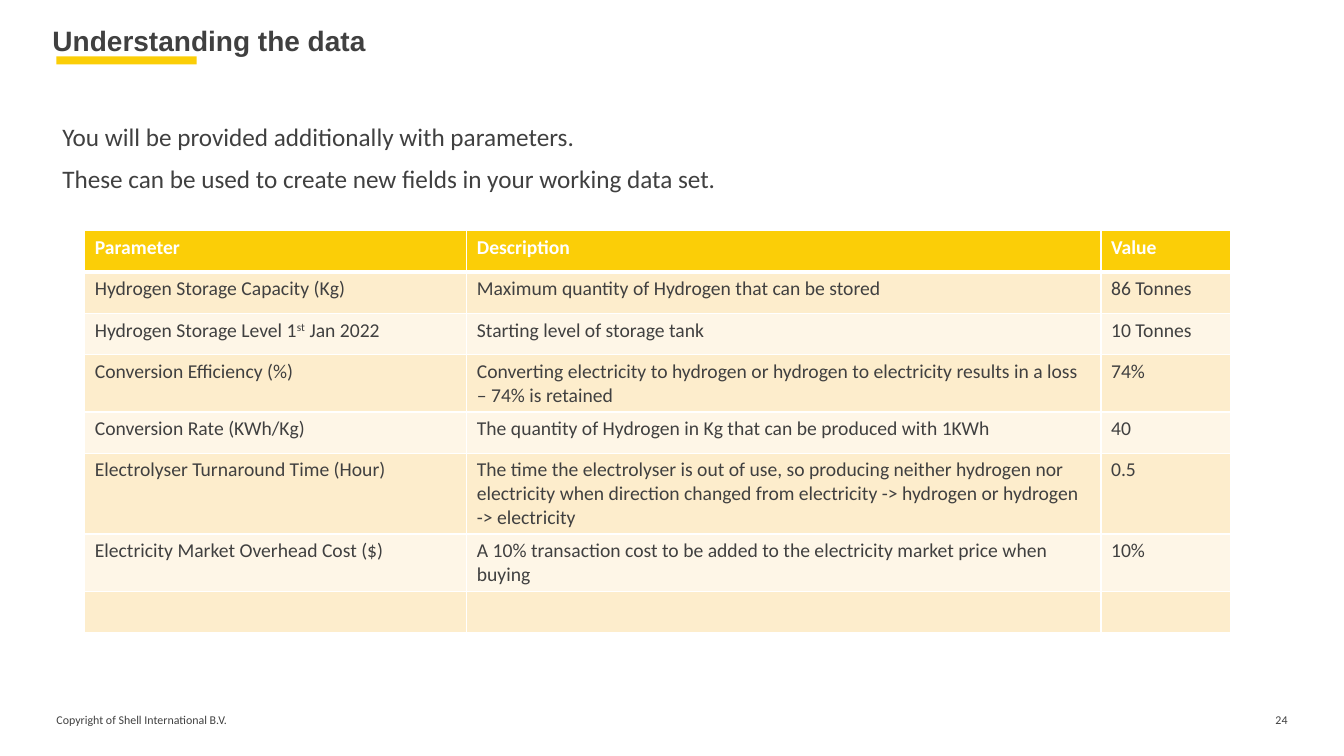
import dataclasses

import lxml.etree
import pptx
import pptx.dml.color
import pptx.enum.shapes
import pptx.enum.text
import pptx.oxml.ns
import pptx.util

Inches = pptx.util.Inches
Align = pptx.enum.text.PP_ALIGN
Anchor = pptx.enum.text.MSO_ANCHOR


@dataclasses.dataclass(frozen=True)
class Theme:
    gold: str = "FBCE07"
    sand: str = "FDEDCC"
    cream: str = "FEF6E7"
    grey: str = "404040"
    white: str = "FFFFFF"
    head: str = "Arial"
    body: str = "Calibri"
    title: float = 20
    lead: float = 18
    cell: float = 14
    foot: float = 8.5


THEME = Theme()
WIDTHS = (3.79, 6.29, 1.29)
HEIGHT = 0.41
ROWS = (
    ("Parameter", "Description", "Value"),
    ("Hydrogen Storage Capacity (Kg)",
     "Maximum quantity of Hydrogen that can be stored", "86 Tonnes"),
    ("Hydrogen Storage Level 1^st^ Jan 2022",
     "Starting level of storage tank", "10 Tonnes"),
    ("Conversion Efficiency (%)",
     "Converting electricity to hydrogen or hydrogen to electricity "
     "results in a loss – 74% is retained", "74%"),
    ("Conversion Rate (KWh/Kg)",
     "The quantity of Hydrogen in Kg that can be produced with 1KWh", "40"),
    ("Electrolyser Turnaround Time (Hour)",
     "The time the electrolyser is out of use, so producing neither hydrogen "
     "nor electricity when direction changed from electricity -> hydrogen or "
     "hydrogen -> electricity", "0.5"),
    ("Electricity Market Overhead Cost ($)",
     "A 10% transaction cost to be added to the electricity market price "
     "when buying", "10%"),
    ("", "", ""),
)


def tint(code):
    return pptx.dml.color.RGBColor.from_string(code)


def write(frame, text, size, font=THEME.body, color=THEME.grey, bold=False,
          align=Align.LEFT, space=None):
    for spot, line in enumerate(text.split("\n")):
        para = frame.add_paragraph() if spot else frame.paragraphs[0]
        para.alignment = align
        para.line_spacing = space
        for part, words in enumerate(line.split("^")):
            run = para.add_run()
            run.text = words
            run.font.size = pptx.util.Pt(size)
            run.font.name = font
            run.font.bold = bold
            run.font.color.rgb = tint(color)
            if part % 2:
                run.font._element.set("baseline", "30000")


def add_text(slide, area, text, size, inset=None, anchor=Anchor.TOP, **style):
    frame = slide.shapes.add_textbox(*map(Inches, area)).text_frame
    frame.word_wrap = True
    frame.vertical_anchor = anchor
    if inset:
        (frame.margin_left, frame.margin_top,
         frame.margin_right, frame.margin_bottom) = map(Inches, inset)
    write(frame, text, size, **style)


def add_bar(slide, area):
    bar = slide.shapes.add_shape(
        pptx.enum.shapes.MSO_SHAPE.RECTANGLE, *map(Inches, area))
    bar.shadow.inherit = False
    bar.fill.solid()
    bar.fill.fore_color.rgb = tint(THEME.gold)
    bar.line.fill.background()


def add_edge(cell, side, width):
    name = pptx.oxml.ns.qn
    edge = lxml.etree.SubElement(
        cell._tc.get_or_add_tcPr(), name("a:ln" + side),
        w=str(pptx.util.Pt(width)))
    fill = lxml.etree.SubElement(edge, name("a:solidFill"))
    lxml.etree.SubElement(fill, name("a:srgbClr"), val=THEME.white)


def add_grid(slide, left, top):
    table = slide.shapes.add_table(
        len(ROWS), len(WIDTHS), Inches(left), Inches(top),
        Inches(sum(WIDTHS)), Inches(HEIGHT * len(ROWS))).table
    for column, width in zip(table.columns, WIDTHS):
        column.width = Inches(width)
    for row, texts in enumerate(ROWS):
        table.rows[row].height = Inches(HEIGHT)
        first = row == 0
        shade = THEME.gold if first else (THEME.cream, THEME.sand)[row % 2]
        edges = {"L": 1, "R": 1, "T": 3 if row == 1 else 1,
                 "B": 3 if first else 1}
        for column, text in enumerate(texts):
            cell = table.cell(row, column)
            for side, width in edges.items():
                add_edge(cell, side, width)
            cell.fill.solid()
            cell.fill.fore_color.rgb = tint(shade)
            if text:
                write(cell.text_frame, text, THEME.cell, bold=first,
                      color=THEME.white if first else THEME.grey)


def main():
    deck = pptx.Presentation()
    deck.slide_width = Inches(13.33)
    deck.slide_height = Inches(7.5)
    slide = deck.slides.add_slide(deck.slide_layouts[6])
    low = (0, 0, 0, 0.05)

    add_bar(slide, (0.56, 0.56, 1.39, 0.08))
    add_text(slide, (0.56, 7.07, 3.67, 0.26),
             "Copyright of Shell International B.V.", THEME.foot, inset=low)
    add_text(slide, (12.38, 7.07, 0.39, 0.26), "24", THEME.foot, inset=low,
             align=Align.RIGHT)
    add_text(slide, (0.52, 1.03, 10, 1.26),
             "You will be provided additionally with parameters.\n"
             "These can be used to create new fields in your working data set.",
             THEME.lead, space=1.4)
    add_text(slide, (0.52, 0.22, 5.19, 0.35), "Understanding the data",
             THEME.title, inset=(0, 0, 0, 0), anchor=Anchor.MIDDLE,
             font=THEME.head, bold=True)
    add_grid(slide, 0.84, 2.29)
    deck.save("out.pptx")


if __name__ == "__main__":
    main()
